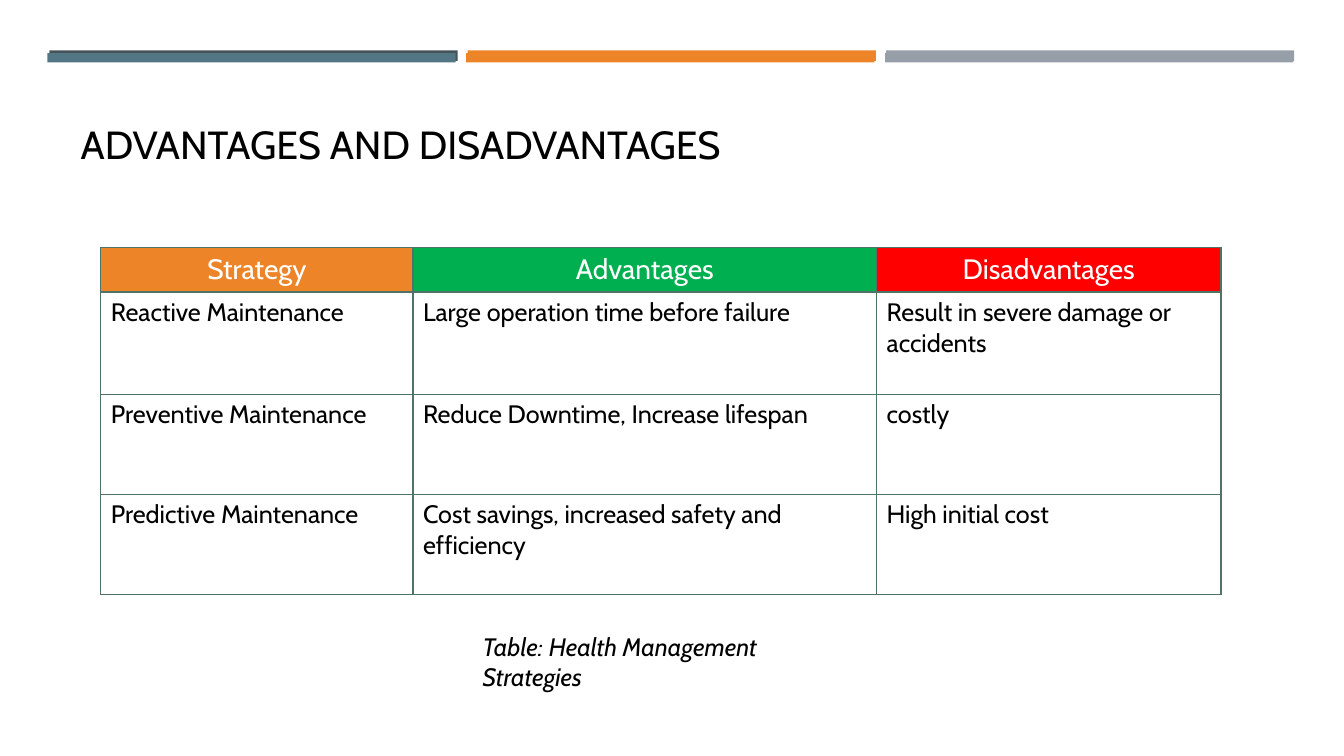
import pptx
import pptx.util
import pptx.dml.color
import pptx.enum.shapes
import pptx.enum.text
import pptx.oxml
import pptx.oxml.ns

Pt = pptx.util.Pt
ALIGN = pptx.enum.text.PP_ALIGN
FONT = "Cabin"
EDGE = "517366"
HEADS = ["ED8428", "00B050", "FF0000"]
ROWS = [
    ["Strategy", "Advantages", "Disadvantages"],
    ["Reactive Maintenance", "Large operation time before failure",
     "Result in severe damage or accidents"],
    ["Preventive Maintenance", "Reduce Downtime, Increase lifespan", "costly"],
    ["Predictive Maintenance", "Cost savings, increased safety and efficiency",
     "High initial cost"],
]
WIDTHS = [223, 331.2, 246]
HEIGHTS = [31.5, 73.2, 71.4, 71.4]


def paint(target, color):
    target.solid()
    target.fore_color.rgb = pptx.dml.color.RGBColor.from_string(color)


def write(frame, text, size, color="000000", align=ALIGN.LEFT, slant=False):
    frame.text = text
    for para in frame.paragraphs:
        para.alignment = align
        for run in para.runs:
            font = run.font
            font.name = FONT
            font.size = Pt(size)
            font.bold = False
            font.italic = slant
            paint(font.fill, color)


def add_bar(slide, left, top, width, height, color):
    kind = pptx.enum.shapes.MSO_SHAPE.RECTANGLE
    bar = slide.shapes.add_shape(kind, Pt(left), Pt(top), Pt(width), Pt(height))
    bar.shadow.inherit = False
    bar.line.fill.background()
    paint(bar.fill, color)


def add_bars(slide):
    backs = ["465359", "ED8428", "969FA7"]
    fronts = ["537685", "ED8428", "969FA7"]
    for left, top, height, step, colors in [
        (35.3, 36, 7.5, 298.8, backs),
        (33.8, 38, 6.6, 299.2, fronts),
    ]:
        for i, color in enumerate(colors):
            add_bar(slide, left + i * step, top, 291.6, height, color)


def set_title(slide, text):
    title = slide.shapes.title
    title.left, title.top = Pt(50.4), Pt(82.1)
    title.width, title.height = Pt(620.6), Pt(41)
    frame = title.text_frame
    write(frame, text, 28)
    frame.word_wrap = True
    frame.auto_size = pptx.enum.text.MSO_AUTO_SIZE.NONE
    frame.vertical_anchor = pptx.enum.text.MSO_ANCHOR.TOP


def add_edges(cell):
    props = cell._tc.get_or_add_tcPr()
    space = pptx.oxml.ns.nsdecls("a")
    for i, side in enumerate("LRTB"):
        edge = pptx.oxml.parse_xml(
            f'<a:ln{side} {space} w="{Pt(1)}"><a:solidFill>'
            f'<a:srgbClr val="{EDGE}"/></a:solidFill></a:ln{side}>')
        props.insert(i, edge)


def add_table(slide):
    shape = slide.shapes.add_table(
        len(ROWS), len(WIDTHS), Pt(72), Pt(177),
        Pt(sum(WIDTHS)), Pt(sum(HEIGHTS)))
    table = shape.table
    table.horz_banding = False
    for col, width in zip(table.columns, WIDTHS):
        col.width = Pt(width)
    for row, height in zip(table.rows, HEIGHTS):
        row.height = Pt(height)
    for r, texts in enumerate(ROWS):
        for c, text in enumerate(texts):
            cell = table.cell(r, c)
            if r == 0:
                write(cell.text_frame, text, 20, "FFFFFF", ALIGN.CENTER)
                paint(cell.fill, HEADS[c])
            else:
                write(cell.text_frame, text, 18)
                paint(cell.fill, "FFFFFF")
            add_edges(cell)


def add_note(slide, text):
    box = slide.shapes.add_textbox(Pt(337.7), Pt(447.1), Pt(285.1), Pt(29))
    frame = box.text_frame
    frame.word_wrap = True
    write(frame, text, 18, slant=True)


def main():
    deck = pptx.Presentation()
    deck.slide_width, deck.slide_height = Pt(960), Pt(540)
    slide = deck.slides.add_slide(deck.slide_layouts[5])
    add_bars(slide)
    add_table(slide)
    set_title(slide, "ADVANTAGES AND DISADVANTAGES")
    add_note(slide, "Table: Health Management Strategies")
    deck.save("out.pptx")


if __name__ == "__main__":
    main()
